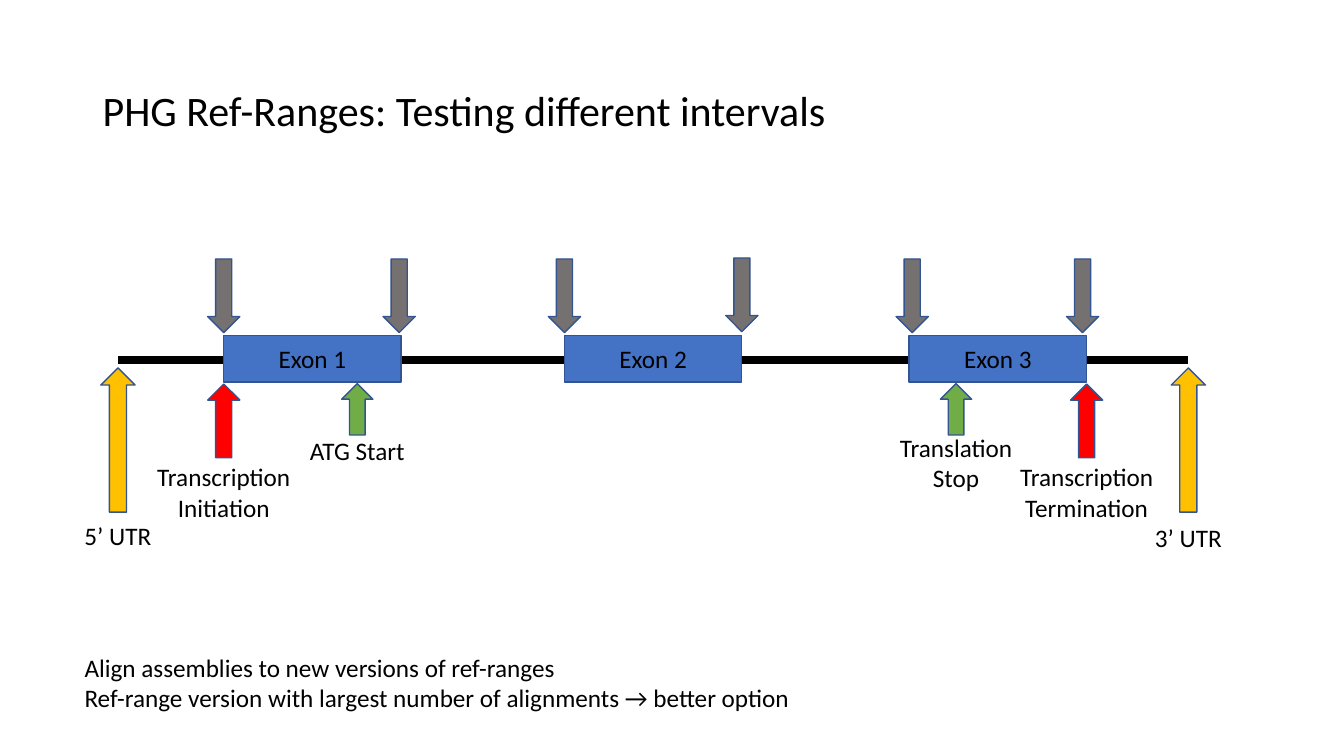
from lxml import etree
from pptx import Presentation
from pptx.dml.color import RGBColor
from pptx.enum import shapes, text
from pptx.oxml import ns
from pptx.util import Pt

TITLE = "PHG Ref-Ranges: Testing different intervals"
NOTES = [
    "Align assemblies to new versions of ref-ranges",
    "Ref-range version with largest number of alignments → better option",
]
COLORS = {
    "text": "000000", "gene": "000000", "exon": "4472C4", "outline": "325491",
    "boundary": "767171", "transcription": "FF0000",
    "translation": "70AD47", "utr": "FFC000",
}
FONT = "Calibri"

# All lengths are in points.
GENE_START, GENE_END, GENE_Y = 84.24, 848.88, 257
EXONS = [("Exon 1", 159.84), ("Exon 2", 403.2), ("Exon 3", 649.44)]
EXON_TOP, EXON_WIDTH, EXON_HEIGHT = 239.76, 126.72, 33.12
# Centre and top of each arrow at an exon boundary
BOUNDARIES = [(159.84, 185), (285.12, 185), (403.2, 185),
              (529.92, 184.3), (651.6, 185), (773.28, 185)]
BOUNDARY_SIZE = (23, 52.6)
# Kind: arrow top, width, height
MARKER_SIZES = {
    "transcription": (274.3, 23, 52.6),
    "translation": (274, 22.3, 36.7),
    "utr": (262.8, 24.5, 103),
}
# Kind, centre, label lines, label top
MARKERS = [
    ("transcription", 159.84, ["Transcription", "Initiation"], 326.2),
    ("transcription", 776.16, ["Transcription", "Termination"], 326.2),
    ("translation", 255.2, ["ATG Start"], 307.4),
    ("translation", 682.9, ["Translation", "Stop"], 305.3),
    ("utr", GENE_START, ["5’ UTR"], 367.9),
    ("utr", GENE_END, ["3’ UTR"], 369.6),
]
LABEL_WIDTH, LINE_HEIGHT = 112, 22


def rgb(name):
    return RGBColor.from_string(COLORS[name])


def write(shape, lines, size=18, align=text.PP_ALIGN.CENTER,
          anchor=text.MSO_ANCHOR.TOP):
    frame = shape.text_frame
    frame.text = "\n".join(lines)
    frame.word_wrap = True
    frame.vertical_anchor = anchor
    for paragraph in frame.paragraphs:
        paragraph.alignment = align
        font = paragraph.runs[0].font
        font.name, font.size = FONT, Pt(size)
        font.color.rgb = rgb("text")
    return frame


def add_text(slide, box, lines, **style):
    return write(slide.shapes.add_textbox(*map(Pt, box)), lines, **style)


def add_filled(slide, preset, box, color):
    shape = slide.shapes.add_shape(preset, *map(Pt, box))
    shape.shadow.inherit = False
    shape.fill.solid()
    shape.fill.fore_color.rgb = rgb(color)
    shape.line.color.rgb = rgb("outline")
    shape.line.width = Pt(1)
    return shape


def add_gene_line(slide):
    line = slide.shapes.add_connector(
        shapes.MSO_CONNECTOR.STRAIGHT,
        Pt(GENE_START), Pt(GENE_Y), Pt(GENE_END), Pt(GENE_Y))
    line.line.color.rgb = rgb("gene")
    line.line.width = Pt(6)
    etree.SubElement(line._element.spPr, ns.qn("a:effectLst"))


def main():
    presentation = Presentation()
    presentation.slide_width, presentation.slide_height = Pt(960), Pt(540)
    slide = presentation.slides.add_slide(presentation.slide_layouts[6])

    title = add_text(slide, (66.24, 28.8, 828, 104.4), [TITLE], size=30,
                     align=text.PP_ALIGN.LEFT, anchor=text.MSO_ANCHOR.MIDDLE)
    title.paragraphs[0].line_spacing = 0.9

    add_gene_line(slide)
    for name, left in EXONS:
        exon = add_filled(slide, shapes.MSO_SHAPE.RECTANGLE,
                          (left, EXON_TOP, EXON_WIDTH, EXON_HEIGHT), "exon")
        write(exon, [name], anchor=text.MSO_ANCHOR.MIDDLE)

    for kind, center, label, label_top in MARKERS:
        top, width, height = MARKER_SIZES[kind]
        add_filled(slide, shapes.MSO_SHAPE.UP_ARROW,
                   (center - width / 2, top, width, height), kind)
        label_height = LINE_HEIGHT * len(label) + 7.2
        add_text(slide, (center - LABEL_WIDTH / 2, label_top,
                         LABEL_WIDTH, label_height), label)

    width, height = BOUNDARY_SIZE
    for center, top in BOUNDARIES:
        add_filled(slide, shapes.MSO_SHAPE.DOWN_ARROW,
                   (center - width / 2, top, width, height), "boundary")

    add_text(slide, (53.28, 462.24, 533, 51), NOTES, align=text.PP_ALIGN.LEFT)
    presentation.save("out.pptx")


if __name__ == "__main__":
    main()
